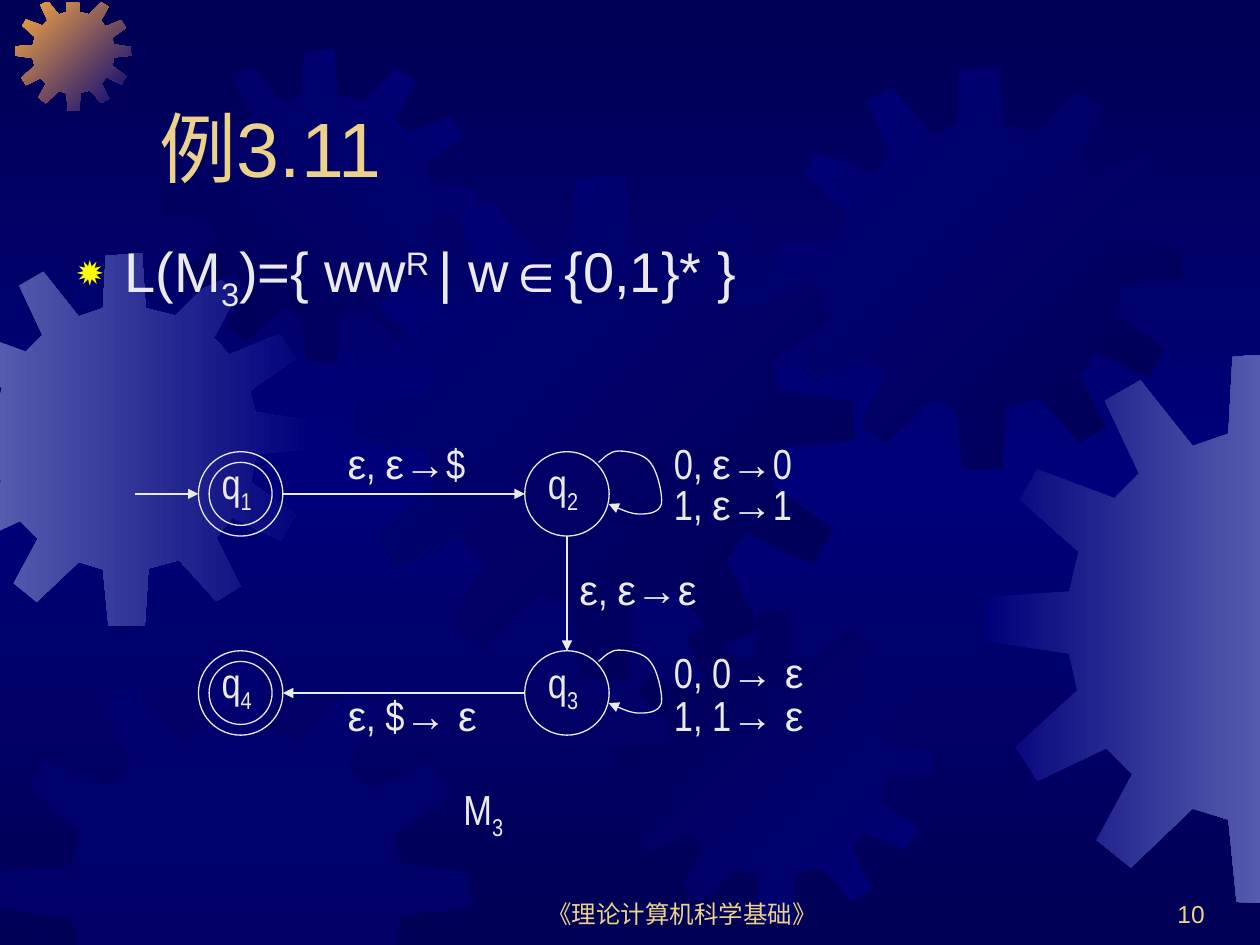
import copy
import itertools
import lxml.etree
import pptx
import pptx.dml.color
import pptx.enum.shapes
import pptx.enum.text
import pptx.oxml.ns
import pptx.util

WIDTH, HEIGHT = 10, 7.5
NAVY, BLUE, LILAC, ORANGE = "000054", "00007A", "555BAD", "FCAB40"
GOLD, PALE, YELLOW = "EBD189", "EAEAEA", "FFFF00"
ARIAL, NARROW = "Arial", "Arial Narrow"
SUB, SUPER = -25000, 30000

GEAR_SPAN = 401
GEAR_OUTLINE = [
    (255, 67), (223, 59), (219, 0), (180, 3), (177, 59), (151, 68), (113, 20), (87, 35),
    (112, 88), (94, 106), (38, 85), (25, 107), (68, 145), (61, 174), (1, 178), (0, 210),
    (61, 219), (67, 246), (22, 287), (38, 312), (88, 288), (107, 307), (81, 355), (106, 375),
    (151, 332), (177, 340), (183, 400), (222, 401), (226, 339), (259, 330), (299, 374), (325, 358),
    (299, 306), (316, 284), (368, 309), (384, 281), (336, 246), (342, 216), (401, 210), (400, 180),
    (341, 171), (335, 148), (383, 114), (367, 87), (313, 109), (296, 91), (323, 41), (297, 25),
]
GEAR_LIMITS = [(0, -0.01, 1), (0, 10.01, -1), (1, 0.02, 1), (1, 7.54, -1)]
GEARS = [
    (-0.49, 2.01, 2.96, (LILAC, BLUE), 0),
    (0.12, -0.04, 0.92, (ORANGE, BLUE), 45),
    (1.3, 0.39, 2.48, (NAVY, BLUE), 315),
    (2.77, 1.39, 4.01, (BLUE, NAVY), 45),
    (0, 5.25, 3.74, (BLUE,), 0),
    (4.91, 4.84, 2.48, (NAVY, BLUE), 45),
    (6.18, 0.53, 3.2, (BLUE, NAVY), 45),
    (7.82, 2.8, 4.37, (BLUE, LILAC), 0),
]

COLUMNS, ROWS = (1.91, 4.5), (3.92, 5.5)
RADIUS, INNER_RADIUS = 0.335, 0.25
STATES = [("1", 0, 0, True), ("2", 1, 0, False), ("4", 0, 1, True), ("3", 1, 1, False)]
ARROWS = [
    (COLUMNS[0] - RADIUS - 0.5, ROWS[0], COLUMNS[0] - RADIUS, ROWS[0]),
    (COLUMNS[0] + RADIUS, ROWS[0], COLUMNS[1] - RADIUS, ROWS[0]),
    (COLUMNS[1], ROWS[0] + RADIUS, COLUMNS[1], ROWS[1] - RADIUS),
    (COLUMNS[1] - RADIUS, ROWS[1], COLUMNS[0] + RADIUS, ROWS[1]),
]
LOOP = [
    (0.25, -0.25), (0.3, -0.29), (0.34, -0.34), (0.41, -0.34), (0.48, -0.34),
    (0.61, -0.32), (0.66, -0.25), (0.72, -0.18), (0.76, 0.01), (0.75, 0.08),
    (0.73, 0.15), (0.65, 0.16), (0.58, 0.16), (0.51, 0.16), (0.42, 0.12), (0.33, 0.08),
]
TRANSITIONS = [
    (2.66, 3.42, ["", "ε", ", ", "ε→", "$"]),
    (5.25, 3.42, ["0, ", "ε→", "0"]),
    (5.25, 3.75, ["1, ", "ε→", "1"]),
    (4.5, 4.42, ["", "ε", ", ", "ε→ε"]),
    (5.25, 5.08, ["0, 0", "→ ε"]),
    (5.25, 5.42, ["1, 1", "→ ε"]),
    (2.66, 5.42, ["", "ε", ", $", "→ ε"]),
]
LANGUAGE = [("L(M", 0), ("3", SUB), (")={ ww", 0), ("R ", SUPER), ("| w∈{0,1}* }", 0)]

qn = pptx.oxml.ns.qn
inches = pptx.util.Inches


def rgb(color):
    return pptx.dml.color.RGBColor.from_string(color)


def add_xml(parent, tag, **values):
    return lxml.etree.SubElement(parent, qn(tag), values)


def paint_gradient(fill, colors, angle):
    fill.gradient()
    fill.gradient_angle = (360 - angle) % 360
    for stop, color in zip(fill.gradient_stops, colors):
        stop.color.rgb = rgb(color)


def add_outline(slide, points, close):
    mils = [(x * 1000, y * 1000) for x, y in points]
    builder = slide.shapes.build_freeform(*mils[0], scale=inches(1) / 1000)
    builder.add_line_segments(mils[1:], close=close)
    outline = builder.convert_to_shape()
    outline.shadow.inherit = False
    return outline


def clip(points, axis, limit, side):
    kept = []
    for start, end in zip(points[-1:] + points[:-1], points):
        before, after = (side * (point[axis] - limit) for point in (start, end))
        if (before < 0) != (after < 0):
            share = before / (before - after)
            kept.append(tuple(a + share * (b - a) for a, b in zip(start, end)))
        if after >= 0:
            kept.append(end)
    return kept


def add_gear(slide, left, top, size, colors, angle):
    points = [(left + x * size / GEAR_SPAN, top + y * size / GEAR_SPAN) for x, y in GEAR_OUTLINE]
    for limit in GEAR_LIMITS:
        points = clip(points, *limit)
    gear = add_outline(slide, points, True)
    gear.line.fill.background()
    if len(colors) > 1:
        paint_gradient(gear.fill, colors, angle)
    else:
        gear.fill.solid()
        gear.fill.fore_color.rgb = rgb(colors[0])
        add_xml(gear.element.spPr.find(qn("a:solidFill"))[0], "a:alpha", val="50000")


def draw_line(part, arrow=False):
    part.line.color.rgb = rgb(PALE)
    part.line.width = pptx.util.Pt(0.75)
    if arrow:
        add_xml(part.line._get_or_add_ln(), "a:tailEnd", type="triangle")


def add_circle(slide, x, y, radius):
    circle = slide.shapes.add_shape(
        pptx.enum.shapes.MSO_SHAPE.OVAL,
        *map(inches, (x - radius, y - radius, 2 * radius, 2 * radius)))
    circle.shadow.inherit = False
    circle.fill.background()
    draw_line(circle)


def add_loop(slide, x, y):
    loop = add_outline(slide, [(x + dx, y + dy) for dx, dy in LOOP], False)
    loop.fill.background()
    draw_line(loop, arrow=True)
    corners = list(loop.element.iter(qn("a:lnTo")))
    route = corners[0].getparent()
    for first in range(0, len(corners), 3):
        curve = add_xml(route, "a:cubicBezTo")
        for corner in corners[first:first + 3]:
            curve.append(corner[0])
            route.remove(corner)


def add_text(slide, box, runs, size, color=PALE, align="LEFT", anchor="TOP", bullet=None):
    frame = slide.shapes.add_textbox(*map(inches, box)).text_frame
    frame.word_wrap = True
    frame.vertical_anchor = pptx.enum.text.MSO_ANCHOR[anchor]
    paragraph = frame.paragraphs[0]
    paragraph.alignment = pptx.enum.text.PP_ALIGN[align]
    if bullet:
        properties = paragraph._p.get_or_add_pPr()
        properties.set("marL", str(inches(0.38)))
        properties.set("indent", str(-inches(0.38)))
        add_xml(add_xml(properties, "a:buClr"), "a:srgbClr", val=YELLOW)
        add_xml(properties, "a:buSzPct", val="80000")
        add_xml(properties, "a:buChar", char=bullet)
    for words, face, baseline in runs:
        run = paragraph.add_run()
        run.text = words
        for name, value in {"size": pptx.util.Pt(size), "name": face}.items():
            setattr(run.font, name, value)
        run.font.color.rgb = rgb(color)
        if baseline:
            run._r.get_or_add_rPr().set("baseline", str(baseline))


def indexed(letter, index):
    return [(letter, NARROW, 0), (index, NARROW, SUB)]


def main():
    deck = pptx.Presentation()
    deck.slide_width, deck.slide_height = inches(WIDTH), inches(HEIGHT)
    slide = deck.slides.add_slide(deck.slide_layouts[6])

    backdrop = slide.background.fill
    paint_gradient(backdrop, (NAVY, NAVY), 90)
    edge = next(slide.element.iter(qn("a:gs")))
    edge.addnext(copy.deepcopy(edge))
    middle = backdrop.gradient_stops[1]
    middle.position = 0.5
    middle.color.rgb = rgb(BLUE)

    for gear in GEARS:
        add_gear(slide, *gear)

    add_text(slide, (3.83, 6.92, 3.17, 0.5), [("《理论计算机科学基础》", ARIAL, 0)], 14,
             GOLD, "CENTER", "BOTTOM")
    add_text(slide, (7.58, 6.92, 2.08, 0.5), [("10", ARIAL, 0)], 14, GOLD, "RIGHT", "BOTTOM")
    add_text(slide, (1.17, 0.33, 8.5, 1.25), [("例3.11", ARIAL, 0)], 44, GOLD, anchor="BOTTOM")
    add_text(slide, (0.51, 1.83, 8.5, 0.92),
             [(words, ARIAL, baseline) for words, baseline in LANGUAGE], 32, bullet="✹")

    for index, column, row, accepting in STATES:
        x, y = COLUMNS[column], ROWS[row]
        if accepting:
            add_circle(slide, x, y, INNER_RADIUS)
        else:
            add_loop(slide, x, y)
        add_circle(slide, x, y, RADIUS)
        add_text(slide, (x - 0.25, y - RADIUS, 0.58, 0.56), indexed("q", index), 24)

    for ends in ARROWS:
        arrow = slide.shapes.add_connector(
            pptx.enum.shapes.MSO_CONNECTOR.STRAIGHT, *map(inches, ends))
        draw_line(arrow, arrow=True)
        add_xml(arrow.element.spPr, "a:effectLst")

    for left, top, pieces in TRANSITIONS:
        faces = itertools.cycle((NARROW, ARIAL))
        runs = [(words, face, 0) for words, face in zip(pieces, faces) if words]
        add_text(slide, (left, top, 1.25, 0.5), runs, 24)
    add_text(slide, (3.58, 6.17, 0.67, 0.56), indexed("M", "3"), 24)

    deck.save("out.pptx")


if __name__ == "__main__":
    main()
